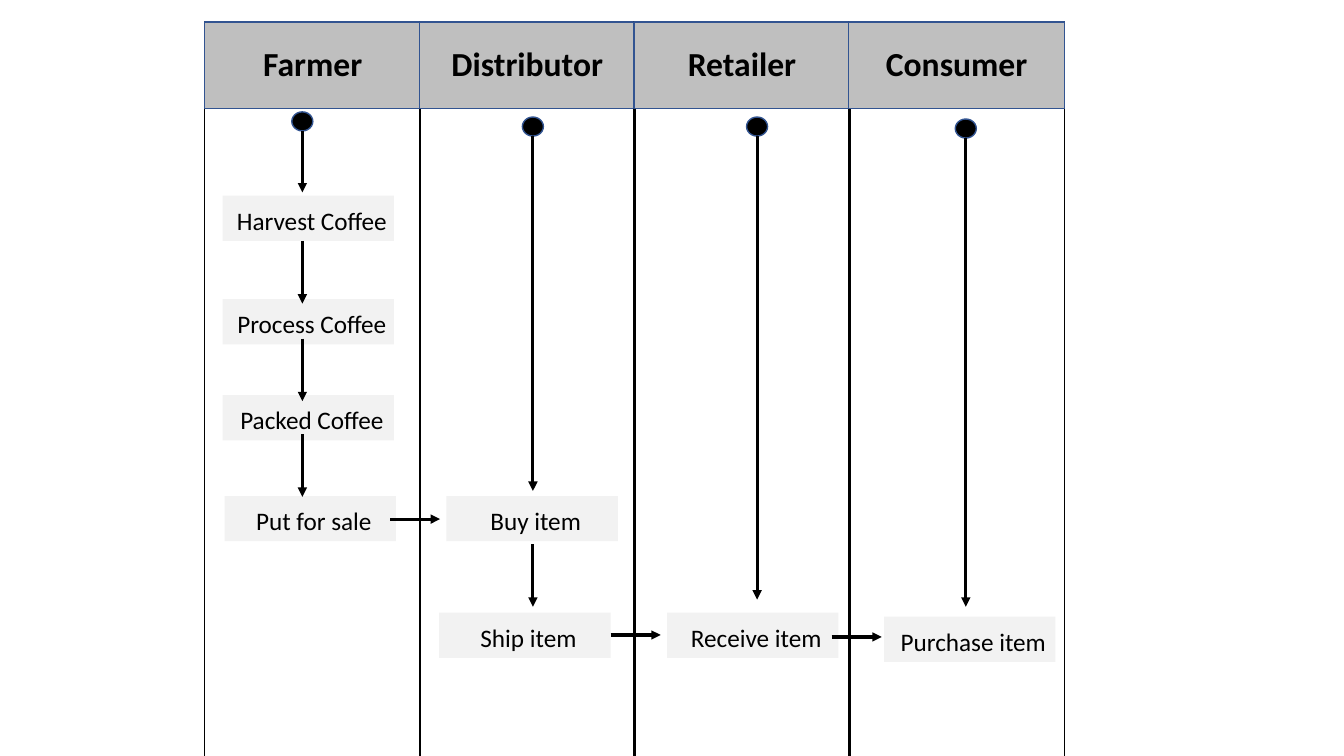
from dataclasses import dataclass
from lxml import etree
from pptx import Presentation
from pptx.dml.color import RGBColor
from pptx.enum.shapes import MSO_CONNECTOR, MSO_SHAPE
from pptx.enum.text import MSO_ANCHOR, PP_ALIGN
from pptx.oxml.ns import qn
from pptx.util import Cm, Pt

RECT, OVAL = MSO_SHAPE.RECTANGLE, MSO_SHAPE.OVAL
STRAIGHT = MSO_CONNECTOR.STRAIGHT
CENTER, MIDDLE = PP_ALIGN.CENTER, MSO_ANCHOR.MIDDLE

# Content, in cm: each step is (label, left, top, tip of the arrow above it)
LANES = [
    {"role": "Farmer", "flow_x": 7.62, "start_top": 2.82, "steps": [
        ("Harvest Coffee", 5.61, 4.93, 4.85),
        ("Process Coffee", 5.61, 7.54, 7.65),
        ("Packed Coffee", 5.61, 9.96, 10.11),
        ("Put for sale", 5.66, 12.5, 12.52)]},
    {"role": "Distributor", "flow_x": 13.43, "start_top": 2.95, "steps": [
        ("Buy item", 11.25, 12.5, 12.37),
        ("Ship item", 11.07, 15.44, 15.29)]},
    {"role": "Retailer", "flow_x": 19.08, "start_top": 2.95, "steps": [
        ("Receive item", 16.81, 15.44, 15.11)]},
    {"role": "Consumer", "flow_x": 24.34, "start_top": 3.0, "steps": [
        ("Purchase item", 22.28, 15.54, 15.29)]},
]
HANDOFFS = [(9.83, 13.08), (15.39, 16.0), (20.96, 16.05)]

# Layout, in cm
LANE_LEFT, LANE_TOP, LANE_PITCH = 5.16, 0.56, 5.41
LANE_W, LANE_H, HEADER_H = 5.44, 20.62, 2.18
STEP_W, STEP_H = 4.32, 1.14
START_W, START_H = 0.53, 0.48
STEP_ARROW, HANDOFF_ARROW = 1.58, 1.26


@dataclass(frozen=True)
class Theme:
    font: str = "Calibri"
    ink: str = "000000"
    header: str = "BFBFBF"
    border: str = "325491"
    step: str = "F2F2F2"
    header_size: float = 24
    step_size: float = 18
    border_width: float = 1
    arrow_width: float = 2.25


THEME = Theme()

prs = Presentation()
prs.slide_width, prs.slide_height = Cm(33.87), Cm(19.05)
slide = prs.slides.add_slide(prs.slide_layouts[6])


def write(shape, text, *, size, bold=False, left=0, top=0, bottom=0):
    frame = shape.text_frame
    frame.word_wrap = True
    frame.vertical_anchor = MIDDLE
    frame.margin_left, frame.margin_right = Cm(left), 0
    frame.margin_top, frame.margin_bottom = Cm(top), Cm(bottom)
    paragraph = frame.paragraphs[0]
    paragraph.alignment = CENTER
    run = paragraph.add_run()
    run.text = text
    run.font.name, run.font.size, run.font.bold = THEME.font, Pt(size), bold
    run.font.color.rgb = RGBColor.from_string(THEME.ink)


def add_block(kind, left, top, width, height, fill=None, line=None):
    block = slide.shapes.add_shape(kind, Cm(left), Cm(top), Cm(width), Cm(height))
    block.shadow.inherit = False
    if fill:
        block.fill.solid()
        block.fill.fore_color.rgb = RGBColor.from_string(fill)
    else:
        block.fill.background()
    if line:
        block.line.color.rgb = RGBColor.from_string(line)
        block.line.width = Pt(THEME.border_width)
    else:
        block.line.fill.background()
    return block


def add_arrow(x1, y1, x2, y2):
    arrow = slide.shapes.add_connector(STRAIGHT, Cm(x1), Cm(y1), Cm(x2), Cm(y2))
    arrow.line.color.rgb = RGBColor.from_string(THEME.ink)
    arrow.line.width = Pt(THEME.arrow_width)
    etree.SubElement(arrow.line._get_or_add_ln(), qn("a:tailEnd"), type="triangle")
    etree.SubElement(arrow._element.spPr, qn("a:effectLst"))


# Lanes with their headers
for index, lane in enumerate(LANES):
    left = LANE_LEFT + index * LANE_PITCH
    add_block(RECT, left, LANE_TOP, LANE_W, LANE_H, line=THEME.ink)
    header = add_block(RECT, left, LANE_TOP, LANE_W, HEADER_H,
                       fill=THEME.header, line=THEME.border)
    write(header, lane["role"], size=THEME.header_size, bold=True, bottom=0.1)

# Steps
for lane in LANES:
    for label, left, top, _ in lane["steps"]:
        step = add_block(RECT, left, top, STEP_W, STEP_H, fill=THEME.step)
        write(step, label, size=THEME.step_size, left=0.18, top=0.1)

# Start points and the flow down each lane
for lane in LANES:
    x, start_top = lane["flow_x"], lane["start_top"]
    add_block(OVAL, x - START_W / 2, start_top, START_W, START_H,
              fill=THEME.ink, line=THEME.border)
    for order, (_, _, _, tip) in enumerate(lane["steps"]):
        origin = tip - STEP_ARROW if order else start_top + START_H
        add_arrow(x, origin, x, tip)

# Handoffs between lanes
for x, y in HANDOFFS:
    add_arrow(x, y, x + HANDOFF_ARROW, y)

prs.save("out.pptx")
